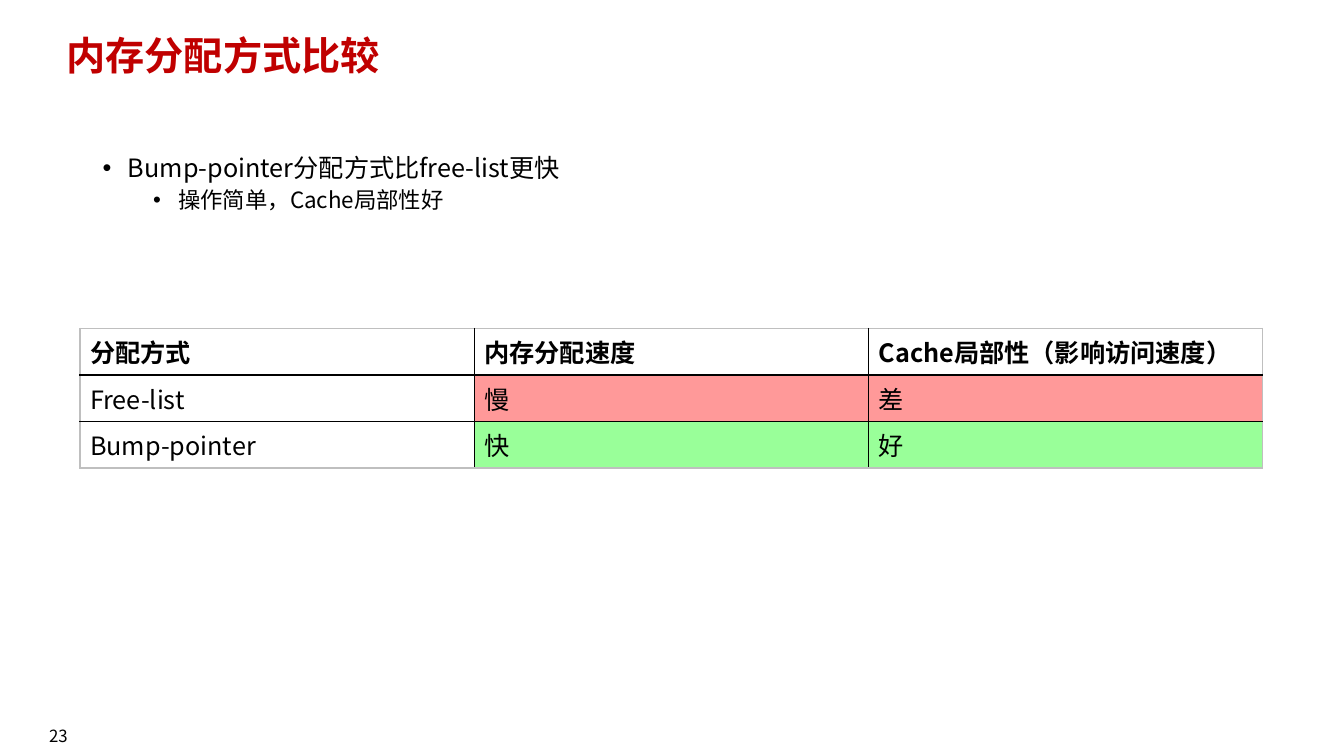
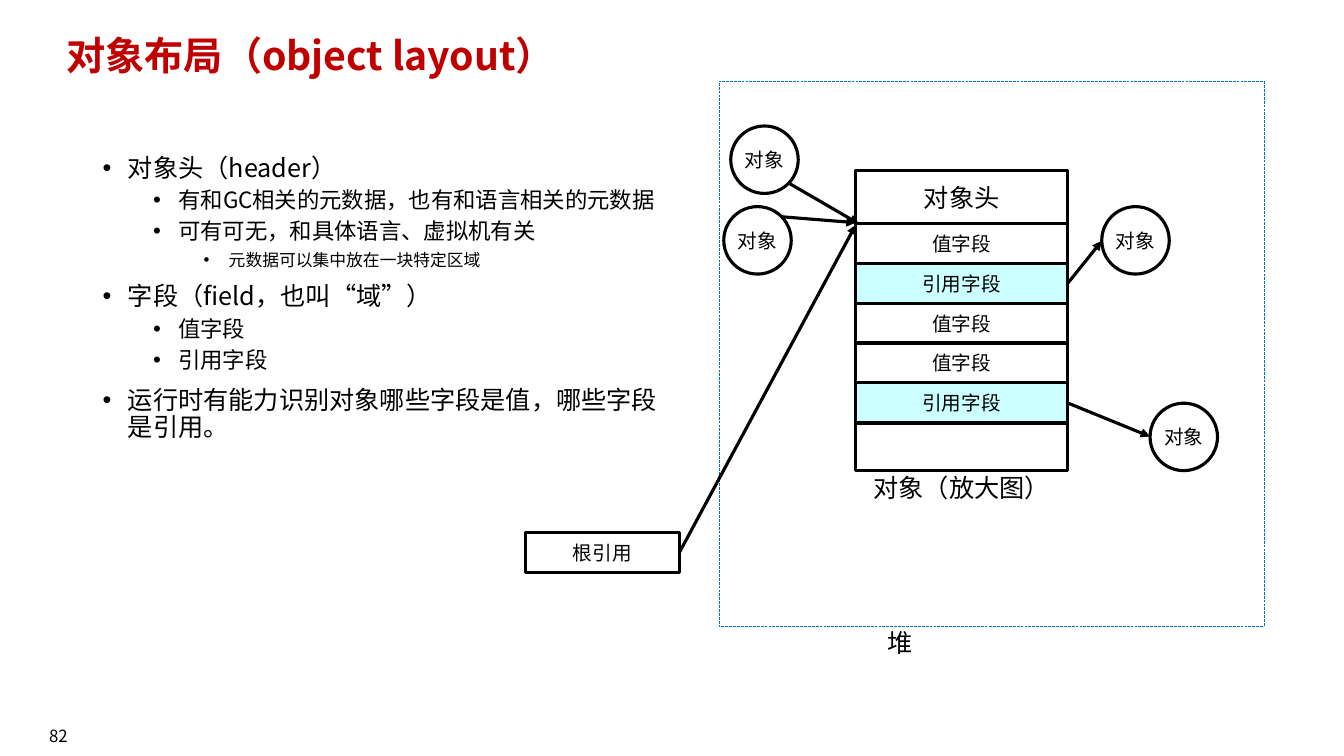
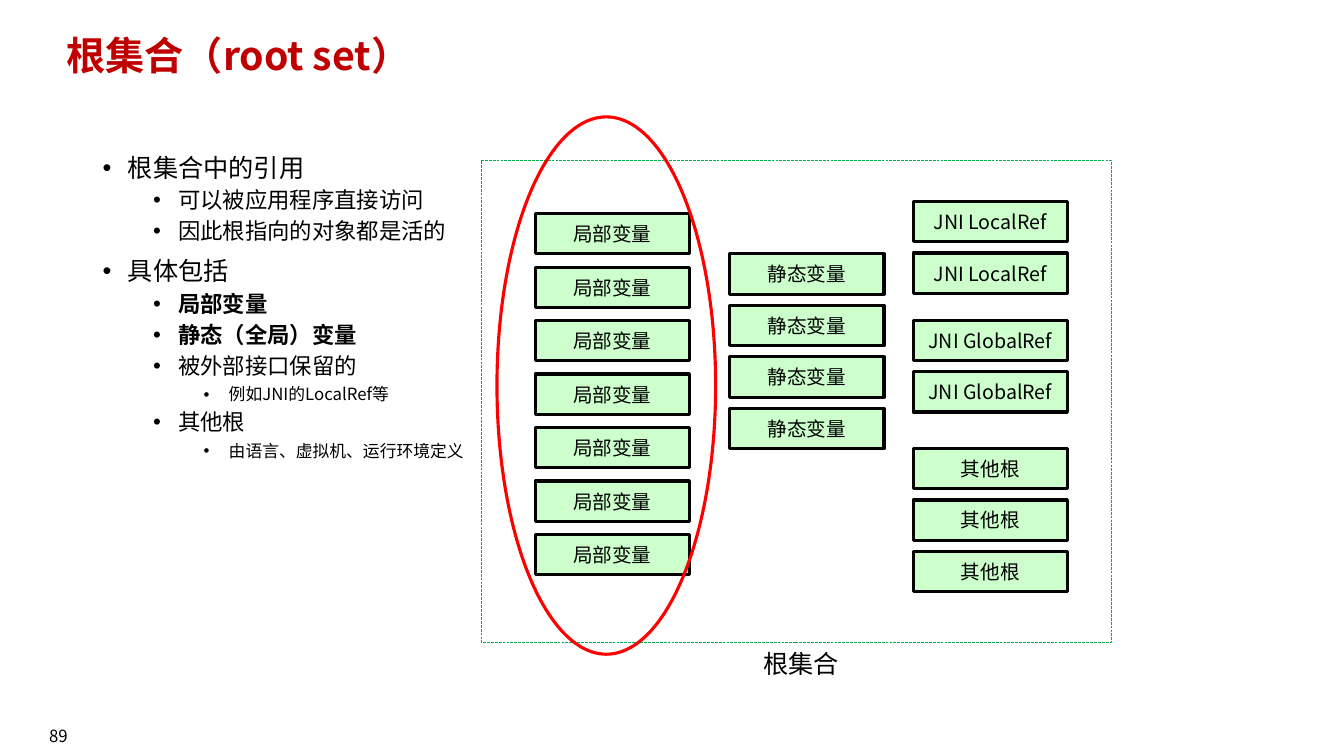
from dataclasses import dataclass
from typing import Optional

from lxml.etree import SubElement
from pptx import Presentation
from pptx.dml.color import RGBColor
from pptx.enum.dml import MSO_LINE
from pptx.enum.shapes import MSO_CONNECTOR, MSO_SHAPE
from pptx.enum.text import MSO_ANCHOR, MSO_AUTO_SIZE, PP_ALIGN
from pptx.oxml.ns import qn
from pptx.util import Pt

FONT = "Noto Sans CJK SC"
BLACK = RGBColor(0x00, 0x00, 0x00)
WHITE = RGBColor(0xFF, 0xFF, 0xFF)
TITLE_RED = RGBColor(0xC0, 0x00, 0x00)
RING_RED = RGBColor(0xFF, 0x00, 0x00)
HEAP_BLUE = RGBColor(0x00, 0x70, 0xC0)
ROOT_GREEN = RGBColor(0x00, 0xB0, 0x50)
PALE_CYAN = RGBColor(0xCC, 0xFF, 0xFF)
PALE_GREEN = RGBColor(0xCC, 0xFF, 0xCC)
BAD_PINK = RGBColor(0xFF, 0x99, 0x99)
GOOD_GREEN = RGBColor(0x99, 0xFF, 0x99)
EDGE_GREY = RGBColor(0xBF, 0xBF, 0xBF)

BODY_SIZES = (18, 16, 12)
BODY_SPACES = (10, 5, 5)
LINE_SPACING = 0.9
WIDE_BODY = 828
BOX_WIDTH = 110.2
BOX_HEIGHT = 28.8
CIRCLE_SIZE = 48.2


@dataclass(frozen=True)
class Area:
    """A rectangle on the page, in points."""
    left: float
    top: float
    width: float
    height: float

    def lengths(self) -> tuple:
        """Return the four lengths for python-pptx."""
        return Pt(self.left), Pt(self.top), Pt(self.width), Pt(self.height)


@dataclass(frozen=True)
class Bullet:
    """One line of a bulleted list."""
    level: int
    text: str
    bold: bool = False


@dataclass(frozen=True)
class RootColumn:
    """A column of equal boxes in the root set."""
    text: str
    left: float
    top: float
    count: int
    pitch: float = 36.75


@dataclass(frozen=True)
class Arrow:
    """A straight arrow, optionally joined to the right side of a box."""
    start: tuple
    end: tuple
    source: Optional[object] = None


def add_span(para, text: str, size: float, color: RGBColor = BLACK, bold: bool = False) -> None:
    """Add one formatted run to a paragraph."""
    span = para.add_run()
    span.text = text
    span.font.size = Pt(size)
    span.font.bold = bold
    span.font.name = FONT
    span.font.color.rgb = color
    SubElement(span.font._element, qn("a:ea")).set("typeface", FONT)


def set_margins(frame, side: float, end: float) -> None:
    """Set the insets of a text frame."""
    frame.margin_left = frame.margin_right = Pt(side)
    frame.margin_top = frame.margin_bottom = Pt(end)


def add_bullets(frame, bullets: list) -> None:
    """Fill a text frame with a bulleted list."""
    for index, bullet in enumerate(bullets):
        para = frame.add_paragraph() if index else frame.paragraphs[0]
        para.level = bullet.level
        para.line_spacing = LINE_SPACING
        para.space_before = Pt(BODY_SPACES[bullet.level] if index else 0)
        para.space_after = Pt(0)
        properties = para._p.get_or_add_pPr()
        properties.set("marL", str(Pt(18 + 36 * bullet.level)))
        properties.set("indent", str(Pt(-18)))
        SubElement(properties, qn("a:buFont")).set("typeface", "Arial")
        SubElement(properties, qn("a:buChar")).set("char", "•")
        add_span(para, bullet.text, BODY_SIZES[bullet.level], bold=bullet.bold)


def place(shape, area: Area) -> None:
    """Move and size a shape."""
    shape.left, shape.top, shape.width, shape.height = area.lengths()


def add_label(page, area: Area, text: str, size: float = 18,
              anchor: MSO_ANCHOR = MSO_ANCHOR.TOP) -> None:
    """Add centred text without an outline."""
    frame = page.shapes.add_textbox(*area.lengths()).text_frame
    frame.word_wrap = True
    frame.vertical_anchor = anchor
    set_margins(frame, 0, 0)
    para = frame.paragraphs[0]
    para.alignment = PP_ALIGN.CENTER
    add_span(para, text, size)


def add_page(deck, title: str, number: int, bullets: list, body_width: float = WIDE_BODY):
    """Add a page with its title, list and page number."""
    page = deck.slides.add_slide(deck.slide_layouts[1])
    heading, body = page.placeholders[0], page.placeholders[1]
    place(heading, Area(40.3, 22.3, 828, 46.8))
    place(body, Area(66.2, 107.3, body_width, 342.7))
    for holder in (heading, body):
        frame = holder.text_frame
        frame.auto_size = MSO_AUTO_SIZE.NONE
        frame.word_wrap = True
        frame.vertical_anchor = MSO_ANCHOR.TOP
        set_margins(frame, 7.2, 3.6)
    para = heading.text_frame.paragraphs[0]
    para.alignment = PP_ALIGN.LEFT
    para.line_spacing = LINE_SPACING
    add_span(para, title, 28, TITLE_RED, True)
    add_bullets(body.text_frame, bullets)
    add_label(page, Area(0, 511.2, 83.5, 28.8), str(number), 12, MSO_ANCHOR.MIDDLE)
    return page


def add_box(page, area: Area, text: str = "", fill: Optional[RGBColor] = WHITE,
            kind: MSO_SHAPE = MSO_SHAPE.RECTANGLE, size: float = 14,
            line: RGBColor = BLACK):
    """Add an outlined shape with centred text."""
    box = page.shapes.add_shape(kind, *area.lengths())
    box.shadow.inherit = False
    if fill is None:
        box.fill.background()
    else:
        box.fill.solid()
        box.fill.fore_color.rgb = fill
    box.line.color.rgb = line
    box.line.width = Pt(2.25)
    if text:
        frame = box.text_frame
        frame.word_wrap = True
        frame.vertical_anchor = MSO_ANCHOR.MIDDLE
        if kind == MSO_SHAPE.OVAL:
            set_margins(frame, 0, 0)
        else:
            set_margins(frame, 7.2, 3.6)
        para = frame.paragraphs[0]
        para.alignment = PP_ALIGN.CENTER
        add_span(para, text, size)
    return box


def add_dashed_area(page, area: Area, color: RGBColor) -> None:
    """Add a thin dashed rectangle around a region."""
    region = add_box(page, area, fill=None, line=color)
    region.line.width = Pt(0.25)
    region.line.dash_style = MSO_LINE.LONG_DASH


def add_arrow(page, arrow: Arrow) -> None:
    """Draw an arrow."""
    ends = [Pt(value) for value in arrow.start + arrow.end]
    link = page.shapes.add_connector(MSO_CONNECTOR.STRAIGHT, *ends)
    if arrow.source is not None:
        link.begin_connect(arrow.source, 3)
    link.line.color.rgb = BLACK
    link.line.width = Pt(2.25)
    SubElement(link.line._get_or_add_ln(), qn("a:tailEnd")).set("type", "triangle")
    SubElement(link._element.spPr, qn("a:effectLst"))


def set_border(cell, side: str, color: RGBColor) -> None:
    """Draw one border of a table cell."""
    edge = SubElement(cell._tc.get_or_add_tcPr(), qn("a:" + side), w=str(Pt(1)))
    fill = SubElement(edge, qn("a:solidFill"))
    SubElement(fill, qn("a:srgbClr")).set("val", str(color))


def add_comparison_table(page) -> None:
    """Add the table that compares the two ways to allocate."""
    rows = (
        (None, ("分配方式", "内存分配速度", "Cache局部性（影响访问速度）")),
        (BAD_PINK, ("Free-list", "慢", "差")),
        (GOOD_GREEN, ("Bump-pointer", "快", "好")),
    )
    area = Area(57.2, 234.7, 844.8, 99.6)
    table = page.shapes.add_table(3, 3, *area.lengths()).table
    table.horz_banding = False
    for row_index, (color, texts) in enumerate(rows):
        for column_index, text in enumerate(texts):
            cell = table.cell(row_index, column_index)
            outer = {"lnL": column_index == 0, "lnR": column_index == 2,
                     "lnT": row_index == 0, "lnB": row_index == 2}
            for side, is_outer in outer.items():
                set_border(cell, side, EDGE_GREY if is_outer else BLACK)
            if color is not None and column_index:
                cell.fill.solid()
                cell.fill.fore_color.rgb = color
            else:
                cell.fill.background()
            set_margins(cell, 7.2, 3.6)
            add_span(cell.text_frame.paragraphs[0], text, 18, bold=row_index == 0)


def build_allocation_page(deck) -> None:
    """Build the comparison of allocation methods."""
    page = add_page(deck, "内存分配方式比较", 23, [
        Bullet(0, "Bump-pointer分配方式比free-list更快"),
        Bullet(1, "操作简单，Cache局部性好"),
    ])
    add_comparison_table(page)


def build_layout_page(deck) -> None:
    """Build the diagram of an object in the heap."""
    page = add_page(deck, "对象布局（object layout）", 82, [
        Bullet(0, "对象头（header）"),
        Bullet(1, "有和GC相关的元数据，也有和语言相关的元数据"),
        Bullet(1, "可有可无，和具体语言、虚拟机有关"),
        Bullet(2, "元数据可以集中放在一块特定区域"),
        Bullet(0, "字段（field，也叫“域”）"),
        Bullet(1, "值字段"),
        Bullet(1, "引用字段"),
        Bullet(0, "运行时有能力识别对象哪些字段是值，哪些字段是引用。"),
    ], 414)
    add_dashed_area(page, Area(513.4, 57.8, 389.5, 389.5), HEAP_BLUE)
    add_label(page, Area(382.3, 447.8, 520.6, 21.6), "堆")

    left, top, width = 611.3, 121.7, 151.2
    add_box(page, Area(left, top, width, 214.6))
    add_box(page, Area(left, top, width, 38.2), "对象头", size=18)
    references = []
    for index, text in enumerate(("值字段", "引用字段", "值字段", "值字段", "引用字段")):
        is_reference = text == "引用字段"
        field = add_box(page, Area(left, 159.8 + 28.4 * index, width, BOX_HEIGHT), text,
                        PALE_CYAN if is_reference else WHITE)
        if is_reference:
            references.append(field)
    add_label(page, Area(left, 337.7, width, 21.6), "对象（放大图）")

    for x, y in ((522, 90), (517, 147.6), (787, 147.6), (821.5, 288)):
        add_box(page, Area(x, y, CIRCLE_SIZE, CIRCLE_SIZE), "对象", kind=MSO_SHAPE.OVAL)
    root = add_box(page, Area(375.1, 380.2, BOX_WIDTH, BOX_HEIGHT), "根引用")
    for arrow in (
        Arrow((485.3, 394.6), (left, 160.6), root),
        Arrow((563.8, 131), (613.4, 159.8)),
        Arrow((558, 154.8), (left, 159.1)),
        Arrow((762.5, 202.6), (787, 172.1), references[0]),
        Arrow((762.5, 287.8), (821.5, 311.8), references[1]),
    ):
        add_arrow(page, arrow)


def build_root_page(deck) -> None:
    """Build the overview of the root set."""
    page = add_page(deck, "根集合（root set）", 89, [
        Bullet(0, "根集合中的引用"),
        Bullet(1, "可以被应用程序直接访问"),
        Bullet(1, "因此根指向的对象都是活的"),
        Bullet(0, "具体包括"),
        Bullet(1, "局部变量", True),
        Bullet(1, "静态（全局）变量", True),
        Bullet(1, "被外部接口保留的"),
        Bullet(2, "例如JNI的LocalRef等"),
        Bullet(1, "其他根"),
        Bullet(2, "由语言、虚拟机、运行环境定义"),
    ])
    add_dashed_area(page, Area(343.4, 114.5, 450.7, 344.2), ROOT_GREEN)
    add_label(page, Area(492.5, 463, 159.8, 21.6), "根集合")
    for column in (
        RootColumn("局部变量", 382.3, 152.6, 7, 38.2),
        RootColumn("静态变量", 521.3, 181.4, 4),
        RootColumn("JNI LocalRef", 652.3, 144, 2),
        RootColumn("JNI GlobalRef", 652.3, 228.8, 2),
        RootColumn("其他根", 652.3, 320.4, 3),
    ):
        for index in range(column.count):
            area = Area(column.left, column.top + column.pitch * index, BOX_WIDTH, BOX_HEIGHT)
            add_box(page, area, column.text, PALE_GREEN)
    add_box(page, Area(355, 83.5, 156.2, 383.8), fill=None, kind=MSO_SHAPE.OVAL, line=RING_RED)


def main() -> None:
    """Build and save the deck."""
    deck = Presentation()
    deck.slide_width, deck.slide_height = Pt(960), Pt(540)
    build_allocation_page(deck)
    build_layout_page(deck)
    build_root_page(deck)
    deck.save("out.pptx")


if __name__ == "__main__":
    main()
